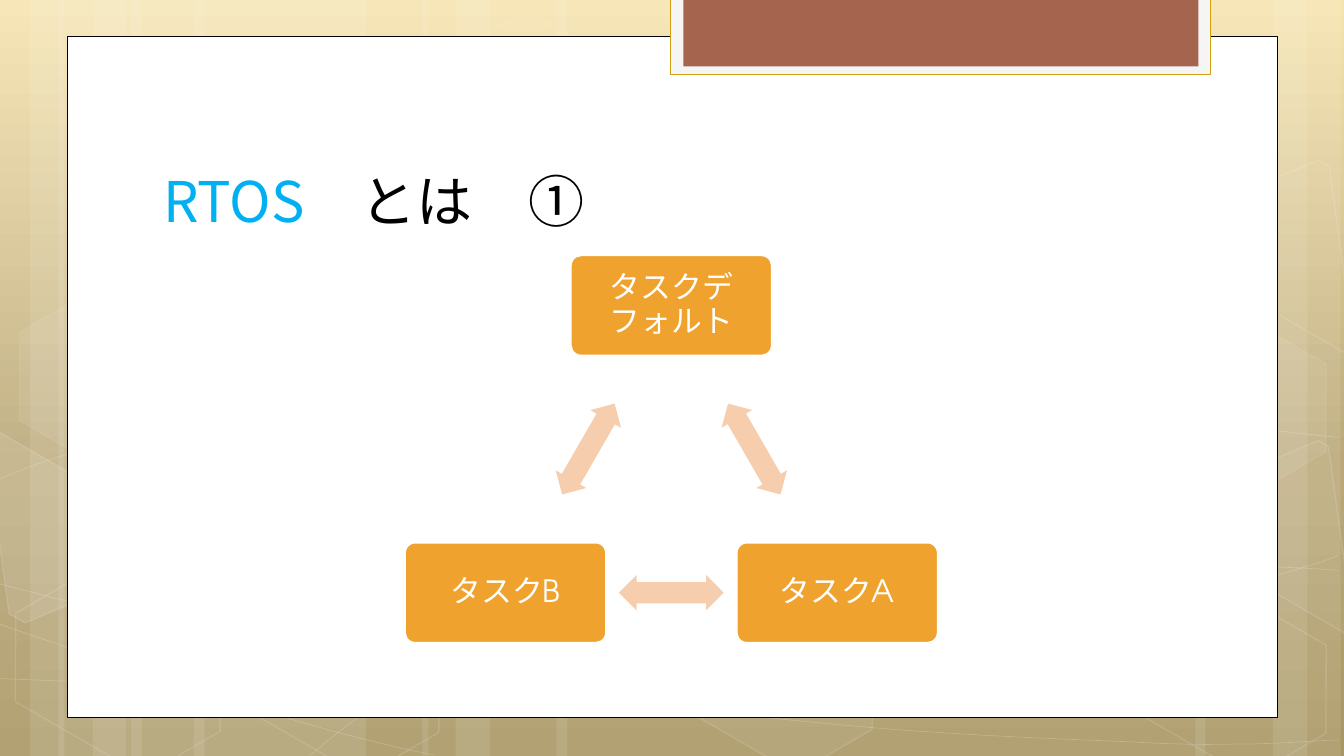
from copy import deepcopy
from dataclasses import dataclass
from math import cos, radians, sin
from typing import NamedTuple, Optional

from lxml import etree
from pptx import Presentation
from pptx.dml.color import RGBColor
from pptx.enum.shapes import MSO_SHAPE
from pptx.enum.text import MSO_ANCHOR, PP_ALIGN
from pptx.oxml.ns import qn
from pptx.util import Inches, Pt

RECT, ROUND, HEX = MSO_SHAPE.RECTANGLE, MSO_SHAPE.ROUNDED_RECTANGLE, MSO_SHAPE.HEXAGON
ARROW = MSO_SHAPE.LEFT_RIGHT_ARROW
MIDDLE, BOTTOM, CENTER = MSO_ANCHOR.MIDDLE, MSO_ANCHOR.BOTTOM, PP_ALIGN.CENTER


@dataclass(frozen=True)
class Theme:
    white: str = "FFFFFF"
    black: str = "000000"
    sky: str = "00B0F0"
    node: str = "F0A22E"
    arrow: str = "F6CEAD"
    frame: str = "F5F5F5"
    gold: str = "D2A010"
    brick: str = "A5644E"
    back: tuple = ((0, "F6E4B0"), (0.62, "BAA878"), (1, "A99764"))
    latin: str = "TeX Gyre Adventor"
    asian: str = "Noto Sans CJK JP"
    title: int = 40
    label: int = 22


class Box(NamedTuple):
    left: float
    top: float
    width: float
    height: float


class Ink(NamedTuple):
    color: str
    alpha: int = 100
    weight: float = 1


class Hexa(NamedTuple):
    left: float
    top: float
    fill: int
    line: int


class Shard(NamedTuple):
    points: tuple
    fill: int


THEME = Theme()
STRIPES = ((1.3, 2.33), (-0.03, 0.67), (0.3, 1.11), (1.92, 2.33), (0.58, 0.67), (0.92, 1.11),
           (9.63, 2.33), (12.63, 0.67), (11.86, 1.11), (5.52, 4.11), (4.19, 0.67), (4.52, 1.11))
# Each curve is a start point, then three points for every Bezier piece.
CURVES = (
    ((-0.05, 6.73), (0.67, 6.76), (1.39, 6.79), (2.39, 6.78), (3.39, 6.77), (4.62, 6.75),
     (5.96, 6.65), (7.29, 6.55), (9.19, 6.36), (10.41, 6.17), (11.63, 5.98), (12.88, 5.68),
     (13.28, 5.51)),
    ((-0.05, 4.77), (0.33, 4.61), (0.72, 4.46), (1.47, 4.31), (2.23, 4.16), (3.3, 3.94),
     (4.49, 3.87), (5.67, 3.8), (7.11, 3.79), (8.57, 3.87), (10.04, 3.95), (12.48, 4.26),
     (13.28, 4.34)),
    ((-0.07, 6.17), (1.54, 6.72), (3.15, 7.27), (4.31, 7.49)),
    ((-0.05, 5.78), (0.37, 5.89), (0.78, 6), (1.56, 6.16), (2.34, 6.31), (3.5, 6.56),
     (4.61, 6.73), (5.72, 6.9), (7.12, 7.08), (8.23, 7.18), (9.33, 7.29), (10.52, 7.33),
     (11.22, 7.36), (11.93, 7.4), (12.11, 7.38), (12.45, 7.38), (12.8, 7.37), (13.04, 7.35),
     (13.28, 7.34)),
    ((3.08, 7.49), (3.32, 7.29), (3.56, 7.09), (3.88, 6.91), (4.2, 6.73), (4.65, 6.53),
     (5.02, 6.39), (5.4, 6.25), (5.62, 6.19), (6.11, 6.09), (6.6, 5.99), (7.5, 5.85),
     (7.97, 5.78), (8.43, 5.71), (8.51, 5.71), (8.92, 5.69), (9.33, 5.66), (9.98, 5.63),
     (10.44, 5.62), (10.9, 5.61), (11.67, 5.62), (11.67, 5.62), (11.67, 5.62), (12.56, 5.62),
     (12.56, 5.62), (12.8, 5.63), (13.03, 5.64), (13.14, 5.65), (13.26, 5.66), (13.22, 5.65),
     (13.27, 5.66)),
)
HEXES = (Hexa(4.31, 0.36, 4, 8), Hexa(6.47, 5.89, 6, 12), Hexa(0, 5.91, 0, 12),
         Hexa(0.04, 3.12, 7, 8), Hexa(2.17, 5.92, 0, 12), Hexa(10.97, 5.93, 0, 12),
         Hexa(10.97, 3.14, 7, 8))
SHARDS = (
    Shard(((-0.15, 4.34), (-0.02, 4.28), (1, 4.87), (1.13, 5.81), (0.25, 6.18), (0.09, 6.09)), 10),
    Shard(((12.2, 4.74), (13.08, 4.37), (13.18, 4.43), (13.43, 6.25), (13.34, 6.28),
           (12.32, 5.69)), 4),
    Shard(((12.2, 1.96), (13.08, 1.59), (13.19, 1.65), (13.43, 3.46), (13.34, 3.5),
           (12.32, 2.91)), 0),
)
TASKS = ("タスクデフォルト", "タスクA", "タスクB")
HUB, RADIUS = (6.66, 4.93), 1.9


def fade(holder, alpha: int) -> None:
    """Set the opacity, in percent, of the solid fill directly under holder."""
    if alpha < 100:
        color = holder.find(qn("a:solidFill"))[0]
        etree.SubElement(color, qn("a:alpha")).set("val", str(alpha * 1000))


def paint(shape, fill: Optional[Ink] = None, line: Optional[Ink] = None) -> None:
    shape.shadow.inherit = False
    props = shape.element.spPr
    if fill and fill.alpha:
        shape.fill.solid()
        shape.fill.fore_color.rgb = RGBColor.from_string(fill.color)
        fade(props, fill.alpha)
    else:
        shape.fill.background()
    if line:
        shape.line.color.rgb = RGBColor.from_string(line.color)
        shape.line.width = Pt(line.weight)
        fade(props.find(qn("a:ln")), line.alpha)
    else:
        shape.line.fill.background()


def add(slide, kind, box: Box, fill: Optional[Ink] = None, line: Optional[Ink] = None,
        turn: float = 0, adjust: tuple = ()):
    shape = slide.shapes.add_shape(kind, *map(Inches, box))
    shape.rotation = turn
    for i, value in enumerate(adjust):
        shape.adjustments[i] = value
    paint(shape, fill, line)
    return shape


def trace(slide, points: tuple, closed: bool, fill: Optional[Ink], line: Ink):
    dots = [(Inches(x), Inches(y)) for x, y in points]
    pen = slide.shapes.build_freeform(*dots[0])
    pen.add_line_segments(dots[1:], close=closed)
    shape = pen.convert_to_shape()
    paint(shape, fill, line)
    return shape


def bend(shape) -> None:
    """Turn every three straight segments into one cubic Bezier piece."""
    route = next(shape.element.iter(qn("a:path")))
    lines = route.findall(qn("a:lnTo"))
    for i in range(0, len(lines), 3):
        piece = etree.SubElement(route, qn("a:cubicBezTo"))
        for line in lines[i:i + 3]:
            piece.append(line[0])
            route.remove(line)


def style(run, size: int, color: str, latin: str) -> None:
    run.font.size = Pt(size)
    run.font.name = latin
    run.font.color.rgb = RGBColor.from_string(color)
    face = etree.Element(qn("a:ea"), typeface=THEME.asian)
    run.font._element.find(qn("a:latin")).addnext(face)


def draw_back(slide) -> None:
    fill = slide.background.fill
    fill.gradient()
    fill.gradient_angle = 270
    first = next(slide.element.iter(qn("a:gs")))
    first.addnext(deepcopy(first))
    for stop, (place, color) in zip(fill.gradient_stops, THEME.back):
        stop.position = place
        stop.color.rgb = RGBColor.from_string(color)
    white = THEME.white
    for left, width in STRIPES:
        add(slide, RECT, Box(left, 0, width, 7.5), Ink(white, 10))
    for knots in CURVES:
        bend(trace(slide, knots, False, None, Ink(white, 20, 0.5)))
    for cell in HEXES:
        add(slide, HEX, Box(cell.left, cell.top, 2.34, 1.52), Ink(white, cell.fill),
            Ink(white, cell.line), 30, (0.285, 1.155))
    for shard in SHARDS:
        trace(slide, shard.points, True, Ink(white, shard.fill), Ink(white, 12))
    add(slide, RECT, Box(0.67, 0.36, 12, 6.76), Ink(white), Ink(THEME.black, weight=0.5))
    add(slide, RECT, Box(6.65, -0.02, 5.36, 0.76), Ink(THEME.frame), Ink(THEME.gold))
    add(slide, RECT, Box(6.78, -0.02, 5.11, 0.68), Ink(THEME.brick))


def draw_title(slide) -> None:
    frame = slide.shapes.add_textbox(*map(Inches, Box(1.52, 1.12, 10.24, 1.25))).text_frame
    frame.word_wrap = True
    frame.vertical_anchor = BOTTOM
    for text, color in (("RTOS　", THEME.sky), ("とは　①", THEME.black)):
        run = frame.paragraphs[0].add_run()
        run.text = text
        style(run, THEME.title, color, THEME.asian)


def spot(angle: float, reach: float, width: float, height: float) -> Box:
    """Box at a distance from the hub, with the angle clockwise from the top."""
    x = HUB[0] + reach * sin(radians(angle))
    y = HUB[1] - reach * cos(radians(angle))
    return Box(x - width / 2, y - height / 2, width, height)


def draw_cycle(slide) -> None:
    for i, task in enumerate(TASKS):
        angle = 120 * i
        node = add(slide, ROUND, spot(angle, RADIUS, 1.99, 0.99), Ink(THEME.node),
                   Ink(THEME.white), adjust=(0.1,))
        frame = node.text_frame
        frame.text = task
        frame.word_wrap = True
        frame.vertical_anchor = MIDDLE
        frame.margin_left = frame.margin_right = Inches(0.09)
        frame.margin_top = frame.margin_bottom = Inches(0.09)
        line = frame.paragraphs[0]
        line.alignment = CENTER
        line.line_spacing = 0.9
        style(line.runs[0], THEME.label, THEME.white, THEME.latin)
        add(slide, ARROW, spot(angle + 60, RADIUS / 2, 1.04, 0.35), Ink(THEME.arrow),
            turn=angle + 60, adjust=(0.6, 0.5))


def main() -> None:
    deck = Presentation()
    deck.slide_width, deck.slide_height = Inches(40 / 3), Inches(7.5)
    slide = deck.slides.add_slide(deck.slide_layouts[6])
    draw_back(slide)
    draw_title(slide)
    draw_cycle(slide)
    deck.save("out.pptx")


if __name__ == "__main__":
    main()
